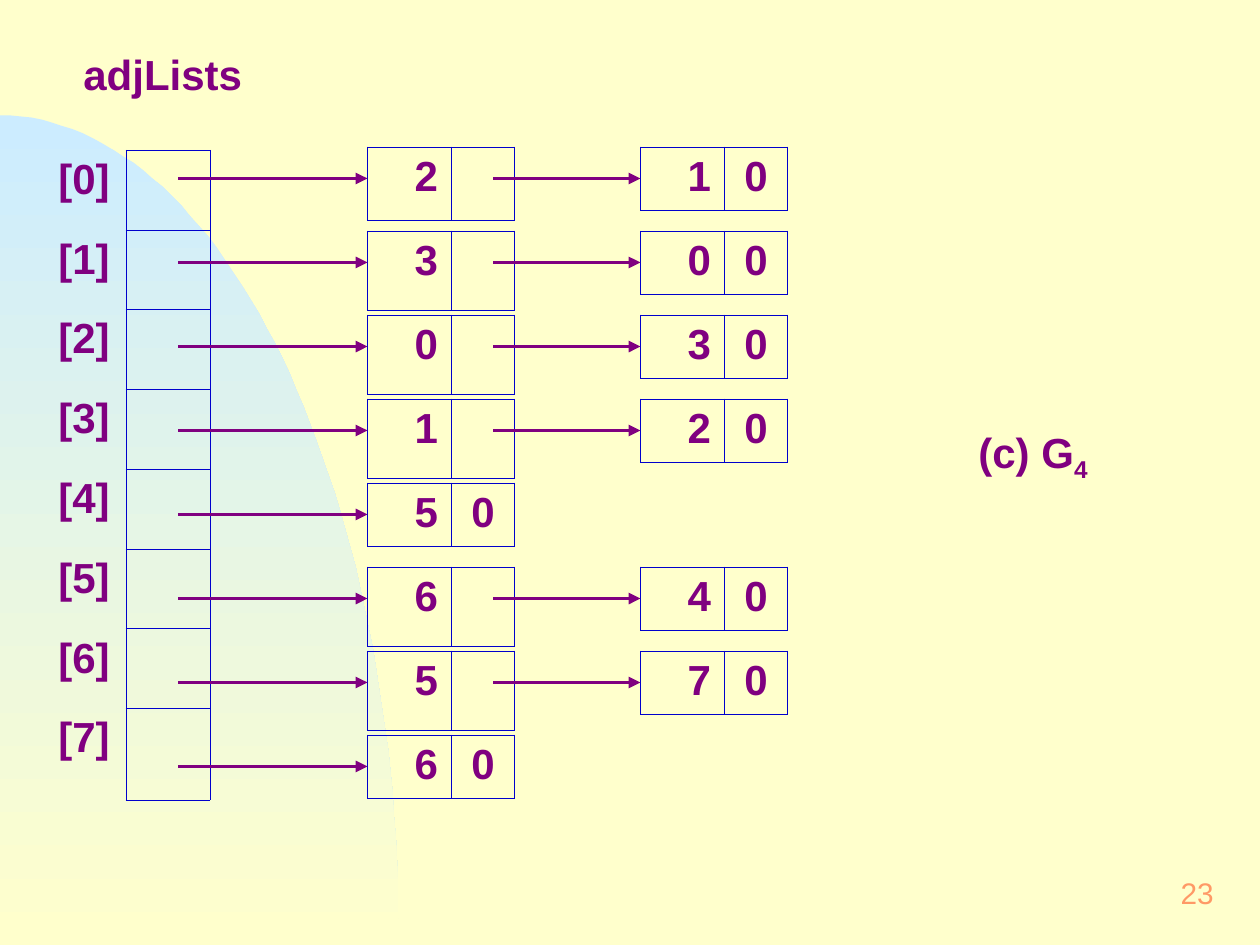
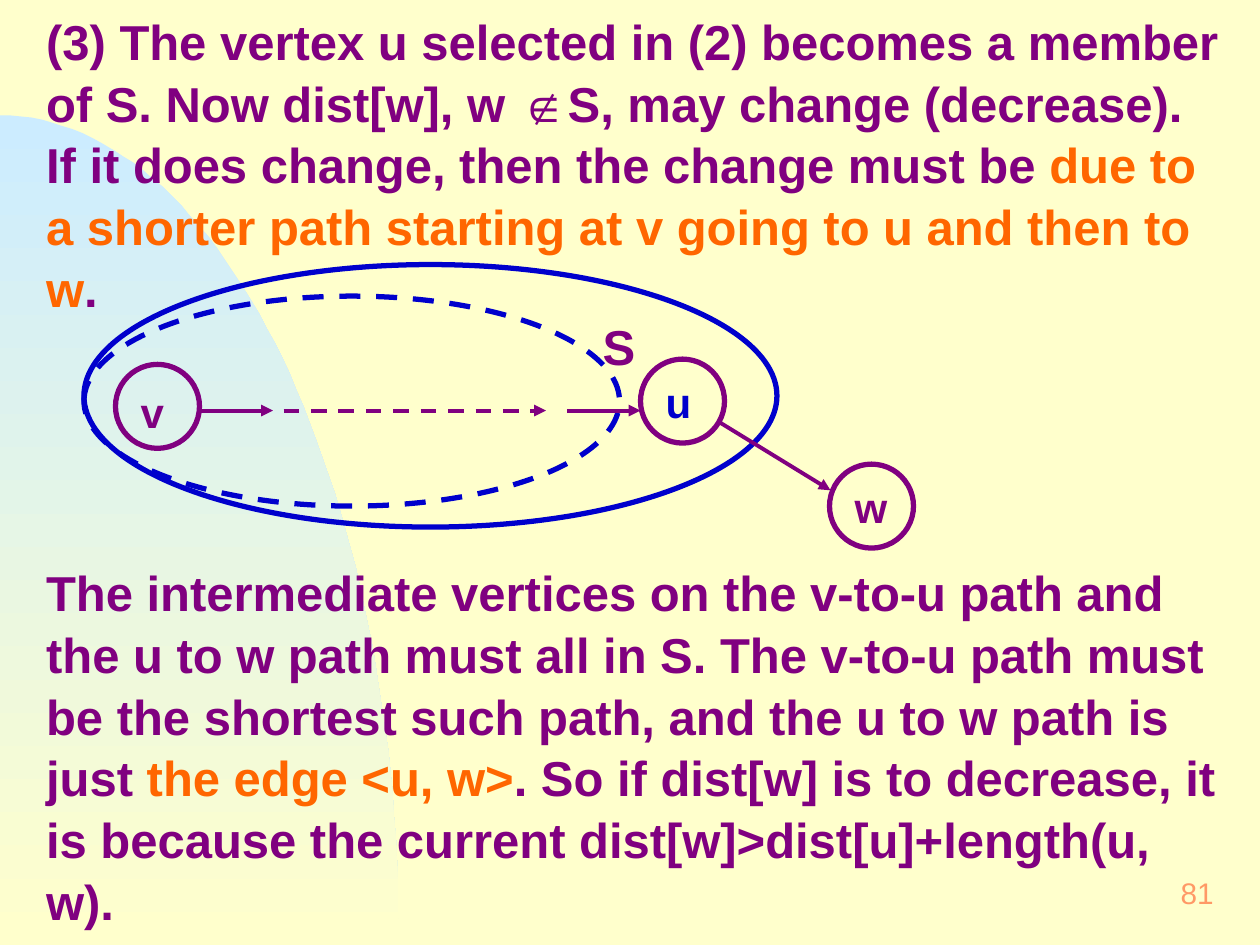
from math import cos, pi, sin

from pptx import Presentation
from pptx.dml.color import RGBColor
from pptx.enum.dml import MSO_LINE
from pptx.enum.shapes import MSO_CONNECTOR, MSO_SHAPE
from pptx.enum.text import MSO_ANCHOR, PP_ALIGN
from pptx.oxml.ns import qn
from pptx.util import Emu, Pt
from lxml.etree import SubElement, Element

SCALE = 7620  # EMU per px, 120 px to the inch
WIDTH, HEIGHT = 1200, 900
FONT = "Arial"
COLORS = {
    "paper": "FFFFCC",
    "sky": "CCECFF",
    "text": "800080",
    "line": "0000CC",
    "accent": "FF6600",
    "number": "FF9966",
}
BORDER_PT = 0.45
ROW_STEP = 80
NODE_COLS = (80, 60)
NODE_X = (350, 610)
NODE_TOP = 140
NODE_H, OPEN_NODE_H = 60, 76

# Vertices in each adjacency list, by index
ADJACENCY = [(2, 1), (3, 0), (0, 3), (1, 2), (5,), (6, 4), (5, 7), (6,)]


def px(*values):
    return [Emu(v * SCALE) for v in values]


def rgb(name):
    return RGBColor.from_string(COLORS[name])


def set_all(obj, values):
    for name, value in values.items():
        setattr(obj, name, value)


# Text
def add_run(p, text, size=24, color="text", bold=True, sub=False):
    r = p.add_run()
    r.text = text
    set_all(r.font, {"name": FONT, "size": Pt(size), "bold": bold})
    r.font.color.rgb = rgb(color)
    if sub:
        r._r.get_or_add_rPr().set("baseline", "-25000")


def add_text(shapes, box, runs, align=PP_ALIGN.LEFT, anchor=MSO_ANCHOR.TOP,
             inset=(14, 7), spacing=None):
    """Each run is (text, format); None stands for a line break."""
    tf = shapes.add_textbox(*px(*box)).text_frame
    dx, dy = px(*inset)
    set_all(tf, {"word_wrap": True, "vertical_anchor": anchor,
                 "margin_left": dx, "margin_right": dx,
                 "margin_top": dy, "margin_bottom": dy})
    p = tf.paragraphs[0]
    set_all(p, {"alignment": align, "line_spacing": spacing})
    for run in runs:
        if run is None:
            p.add_line_break()
        else:
            add_run(p, run[0], **run[1])


# Lines and outlines
def style_line(line, color, width, dash):
    line.color.rgb = rgb(color)
    line.width = Pt(width)
    if dash:
        line.dash_style = MSO_LINE.DASH


def add_arrow(shapes, start, end, dash=False):
    cxn = shapes.add_connector(MSO_CONNECTOR.STRAIGHT, *px(*start, *end))
    style_line(cxn.line, "text", 2.25, dash)
    spPr = cxn._element.spPr
    SubElement(spPr.find(qn("a:ln")), qn("a:tailEnd"), type="triangle")
    SubElement(spPr, qn("a:effectLst"))


def add_ellipse(shapes, box, color, dash=False):
    sp = shapes.add_shape(MSO_SHAPE.OVAL, *px(*box))
    sp.shadow.inherit = False
    sp.fill.background()
    style_line(sp.line, color, 3, dash)


# Tables
def set_borders(cell, sides):
    tcPr = cell._tc.get_or_add_tcPr()
    for i, side in enumerate("LRTB"):
        ln = Element(qn(f"a:ln{side}"), w=str(Pt(BORDER_PT)))
        if side in sides:
            fill = SubElement(ln, qn("a:solidFill"))
            SubElement(fill, qn("a:srgbClr"), val=COLORS["line"])
        else:
            SubElement(ln, qn("a:noFill"))
        tcPr.insert(i, ln)


def set_cell(cell, text="", align=PP_ALIGN.CENTER, left=12, sides="LRTB"):
    left, right, dy = px(left, 12, 6)
    set_all(cell, {"margin_left": left, "margin_right": right,
                   "margin_top": dy, "margin_bottom": dy})
    cell.fill.background()
    set_borders(cell, sides)
    if text:
        p = cell.text_frame.paragraphs[0]
        p.alignment = align
        add_run(p, text)


def add_grid(shapes, x, y, cols, rows):
    frame = shapes.add_table(len(rows), len(cols),
                             *px(x, y, sum(cols), sum(rows)))
    tbl = frame.table
    set_all(tbl, {"first_row": False, "horz_banding": False})
    for col, w in zip(tbl.columns, cols):
        col.width = Emu(w * SCALE)
    for row, h in zip(tbl.rows, rows):
        row.height = Emu(h * SCALE)
    return tbl


def add_node(shapes, x, y, vertex, height, last):
    tbl = add_grid(shapes, x, y, NODE_COLS, [height])
    set_cell(tbl.cell(0, 0), str(vertex), PP_ALIGN.LEFT, left=45)
    set_cell(tbl.cell(0, 1), "0" if last else "")


# Shared backdrop and page number
def add_slide(prs, number):
    s = prs.slides.add_slide(prs.slide_layouts[6])
    fill = s.background.fill
    fill.solid()
    fill.fore_color.rgb = rgb("paper")

    rx, ry, steps = 380, 790, 60
    angles = [pi / 2 * i / steps for i in range(steps + 1)]
    arc = [(rx * sin(a), HEIGHT - ry * cos(a)) for a in angles]
    ff = s.shapes.build_freeform(0, HEIGHT, scale=SCALE)
    ff.add_line_segments(arc, close=True)
    sp = ff.convert_to_shape()
    sp.shadow.inherit = False
    sp.line.fill.background()
    sp.fill.gradient()
    sp.fill.gradient_angle = 270
    for stop, name, pos in zip(sp.fill.gradient_stops, ("sky", "paper"), (0, 1)):
        stop.color.rgb = rgb(name)
        stop.position = pos

    add_text(s.shapes, (920, 820, 250, 60),
             [(str(number), {"size": 17, "color": "number", "bold": False})],
             PP_ALIGN.RIGHT, MSO_ANCHOR.MIDDLE)
    return s


# Slide: adjacency lists
def build_adjacency(prs):
    shapes = add_slide(prs, 23).shapes
    add_text(shapes, (30, 37, 250, 62), [("adjLists", {})], PP_ALIGN.CENTER,
             spacing=1.05)
    add_text(shapes, (920, 400, 130, 67),
             [("(c) G", {}), ("4", {"sub": True})], inset=(12, 6))

    heads = add_grid(shapes, 40, 143, (80, 80), [76] * 7 + [87])
    for i, vertices in enumerate(ADJACENCY):
        set_cell(heads.cell(i, 0), f"[{i}]", sides="R")
        set_cell(heads.cell(i, 1))
        top = NODE_TOP + i * ROW_STEP
        for j, vertex in enumerate(vertices):
            last = j == len(vertices) - 1
            open_h = OPEN_NODE_H if i else 70
            add_node(shapes, NODE_X[j], top, vertex,
                     NODE_H if last else open_h, last)
            y = top + NODE_H // 2
            add_arrow(shapes, ((170, 470)[j], y), (NODE_X[j], y))


# Slide: shortest path through u
def build_shortest_path(prs):
    s = add_slide(prs, 81)
    body = {"size": 28}
    accent = {"size": 28, "color": "accent"}
    add_text(s.shapes, (30, 1, 1150, 239), [
        ("(3) The vertex u selected in (2) becomes a member of S. "
         "Now dist[w], w ∉S, may change (decrease).", body),
        None,
        ("If it does change, then the change must be ", body),
        ("due to a shorter path starting at v going to u and then to w", accent),
        (".", body),
    ], spacing=1.05)

    # Vertices and the set S
    shapes = s.shapes.add_group_shape().shapes
    for name, x, y, drop, color in (("v", 110, 347, 14, "text"),
                                    ("u", 610, 342, 10, "line"),
                                    ("w", 790, 442, 10, "text")):
        add_ellipse(shapes, (x, y, 80, 80), "text")
        add_text(shapes, (x + 10, y + drop, 60, 62), [(name, {"color": color})])
    add_ellipse(shapes, (80, 252, 660, 250), "line")
    add_ellipse(shapes, (80, 282, 510, 200), "line", dash=True)
    add_text(shapes, (560, 292, 60, 71), [("S", body)], spacing=1.05)

    # Path from v to u, then the edge to w
    path_y = 391
    for x1, x2, dash in ((190, 260, False), (270, 520, True), (540, 610, False)):
        add_arrow(shapes, (x1, path_y), (x2, path_y), dash)
    add_arrow(shapes, (685, 402), (791, 467))

    add_text(s.shapes, (30, 526, 1150, 352), [
        ("The intermediate vertices on the v-to-u path and the u to w path "
         "must all in S. The v-to-u path must be the shortest such path, "
         "and the u to w path is just ", body),
        ("the edge <u, w>", accent),
        (". So if dist[w] is to decrease, it is because the current "
         "dist[w]>dist[u]+length(u, w).", body),
    ], spacing=1.05)


def main():
    prs = Presentation()
    prs.slide_width, prs.slide_height = px(WIDTH, HEIGHT)
    build_adjacency(prs)
    build_shortest_path(prs)
    prs.save("out.pptx")


if __name__ == "__main__":
    main()
